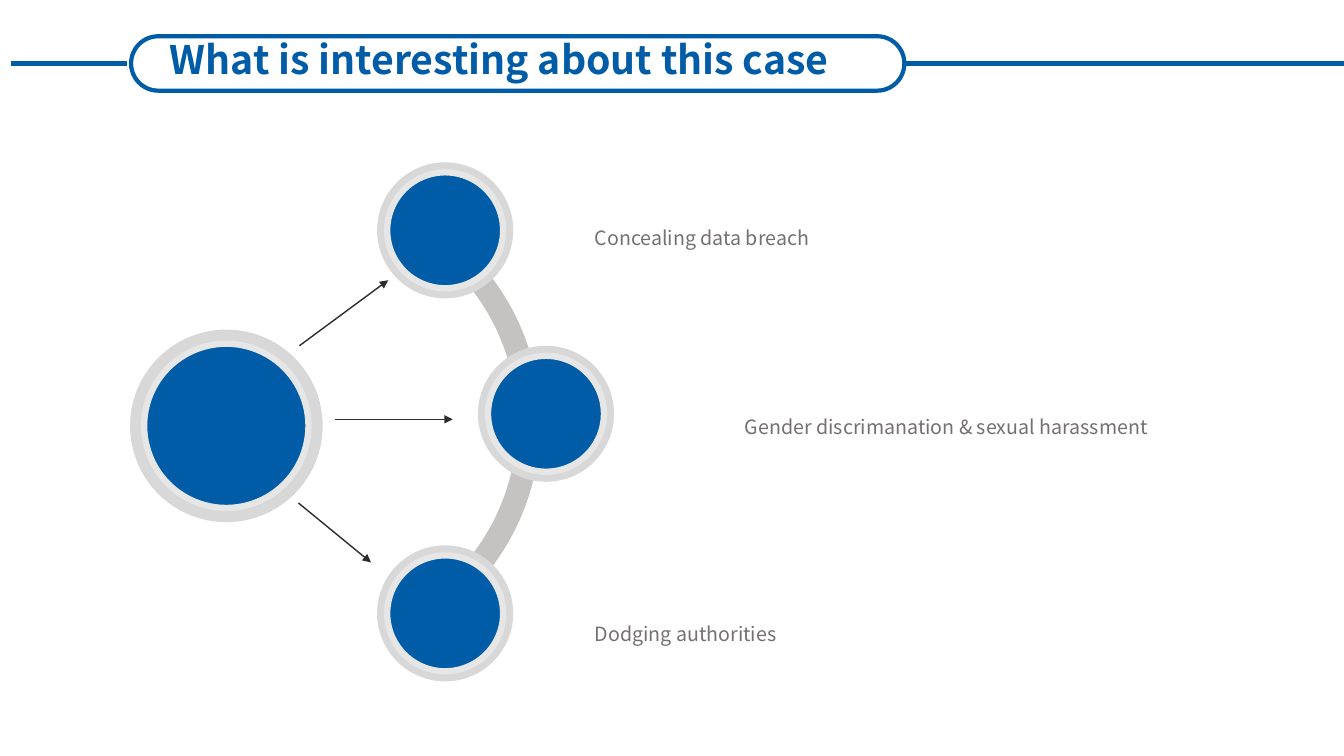
from math import cos, radians, sin

from lxml.etree import SubElement
from pptx import Presentation
from pptx.dml.color import RGBColor
from pptx.enum.shapes import MSO_CONNECTOR as Connector, MSO_SHAPE as Shape
from pptx.enum.text import MSO_ANCHOR as Anchor, MSO_AUTO_SIZE as AutoSize, PP_ALIGN as Align
from pptx.oxml.ns import qn
from pptx.util import Pt

PX = 9144  # 100 px to the inch
SLIDE_WIDTH, SLIDE_HEIGHT = 1333, 750
FONT = "Noto Sans CJK SC"
BLUE, DARK, TEXT_GREY = "005CA7", "2E2C2C", "757070"
RING, RIM, BAND = "D8D8D8", "E7E6E6", "C5C2C2"

TITLE = "What is interesting about this case"
TITLE_BOX = (134, 33, 722, 57)
PILL_BOX = (130, 36, 767, 54)
TITLE_RULES = [((11, 63), (126, 63)), ((898, 63), (SLIDE_WIDTH, 63))]

# left, top, outer diameter, ring thickness
HUB = (129, 327, 191, 14)
NODE_DIAMETER, NODE_RING = 135, 10
# node left and top, label left and top, label
TOPICS = [
    ((374, 161), (580, 208), "Concealing data breach"),
    ((474, 343), (729, 395), "Gender discrimanation & sexual harassment"),
    ((374, 541), (580, 600), "Dodging authorities"),
]
LABEL_SIZE = (475, 71)
ARROWS = [((297, 343), (385, 278)), ((332, 416), (449, 416)), ((296, 499), (368, 558))]
ARC_CENTRE, ARC_RADII, ARC_ANGLES = (298, 419), (215, 238), range(-60, 60, 2)


def emu(*lengths):
    return [length * PX for length in lengths]


def colour(value):
    return RGBColor.from_string(value)


def paint(shape, fill=None, line=None, line_width=0):
    shape.shadow.inherit = False
    if fill:
        shape.fill.solid()
        shape.fill.fore_color.rgb = colour(fill)
    else:
        shape.fill.background()
    if line:
        shape.line.color.rgb = colour(line)
        shape.line.width = Pt(line_width)
    else:
        shape.line.fill.background()


def add_line(slide, start, end, line_colour, width, arrow=False):
    connector = slide.shapes.add_connector(Connector.STRAIGHT, *emu(*start, *end))
    connector.line.color.rgb = colour(line_colour)
    connector.line.width = Pt(width)
    if arrow:
        SubElement(connector.line._get_or_add_ln(), qn("a:tailEnd"), type="triangle")
    SubElement(connector._element.spPr, qn("a:effectLst"))


def add_disc(slide, left, top, diameter, ring):
    """Draw a grey ring with a rimmed blue disc inside it."""
    inner = diameter - 2 * ring
    outer_disc = slide.shapes.add_shape(Shape.OVAL, *emu(left, top, diameter, diameter))
    paint(outer_disc, RING)
    inner_disc = slide.shapes.add_shape(
        Shape.OVAL, *emu(left + ring, top + ring, inner, inner))
    paint(inner_disc, BLUE, RIM, 4.5)


def add_arc_band(slide):
    """Draw the curved band that joins the topic nodes."""
    inner, outer = [
        [(round(ARC_CENTRE[0] * PX + radius * PX * cos(radians(angle))),
          round(ARC_CENTRE[1] * PX + radius * PX * sin(radians(angle))))
         for angle in ARC_ANGLES]
        for radius in ARC_RADII
    ]
    outline = inner + outer[::-1]
    builder = slide.shapes.build_freeform(*outline[0])
    builder.add_line_segments(outline[1:], close=True)
    paint(builder.convert_to_shape(), BAND)


def write(shape, text, size, text_colour, spacing, bold=False):
    frame = shape.text_frame
    frame.text = text
    frame.word_wrap = True
    frame.auto_size = AutoSize.NONE
    paragraph = frame.paragraphs[0]
    paragraph.line_spacing = spacing
    font = paragraph.runs[0].font
    font.name, font.size, font.bold = FONT, Pt(size), bold
    font.color.rgb = colour(text_colour)


def add_title(slide):
    title = slide.shapes.title
    title.left, title.top, title.width, title.height = emu(*TITLE_BOX)
    write(title, TITLE, 28, BLUE, 0.9, bold=True)
    title.text_frame.vertical_anchor = Anchor.MIDDLE
    title.text_frame.paragraphs[0].alignment = Align.CENTER
    for start, end in TITLE_RULES:
        add_line(slide, start, end, BLUE, 3)
    pill = slide.shapes.add_shape(Shape.ROUNDED_RECTANGLE, *emu(*PILL_BOX))
    pill.adjustments[0] = 0.5
    paint(pill, line=BLUE, line_width=3)


def main():
    presentation = Presentation()
    presentation.slide_width, presentation.slide_height = emu(SLIDE_WIDTH, SLIDE_HEIGHT)
    slide = presentation.slides.add_slide(presentation.slide_layouts[5])
    add_title(slide)
    add_arc_band(slide)
    for start, end in ARROWS:
        add_line(slide, start, end, DARK, 1, arrow=True)
    add_disc(slide, *HUB)
    for node, label_corner, label in TOPICS:
        add_disc(slide, *node, NODE_DIAMETER, NODE_RING)
        box = slide.shapes.add_textbox(*emu(*label_corner, *LABEL_SIZE))
        write(box, label, 14, TEXT_GREY, 1.5)
    presentation.save("out.pptx")


if __name__ == "__main__":
    main()
